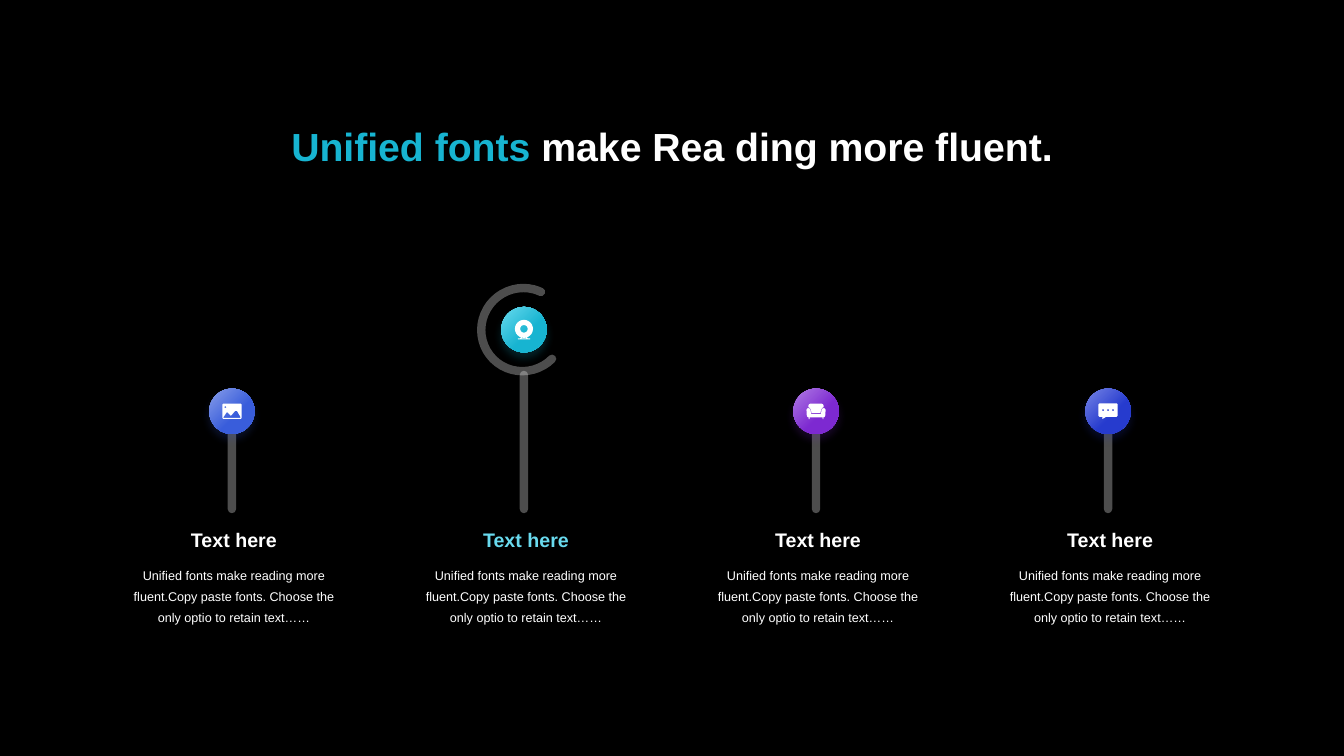
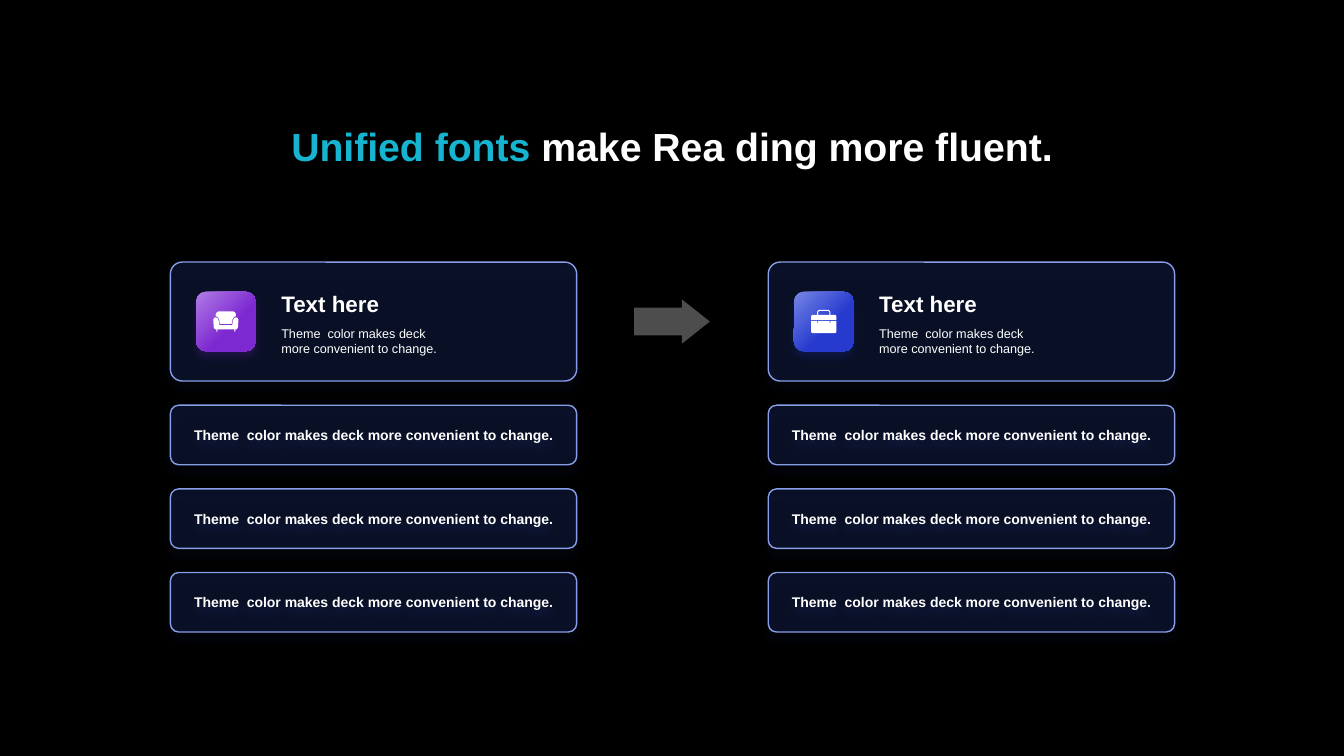
"""Build two dark slides: a row of pins and a pair of card stacks."""
from dataclasses import dataclass
from math import cos, radians, sin

from lxml import etree
from pptx import Presentation
from pptx.dml.color import RGBColor
from pptx.dml.fill import FillFormat
from pptx.enum.shapes import MSO_CONNECTOR, MSO_SHAPE
from pptx.enum.text import MSO_ANCHOR, MSO_AUTO_SIZE, PP_ALIGN
from pptx.oxml.ns import qn
from pptx.shapes.autoshape import Shape
from pptx.slide import Slide
from pptx.text.text import TextFrame
from pptx.util import Inches, Pt

OVAL, ROUND = MSO_SHAPE.OVAL, MSO_SHAPE.ROUNDED_RECTANGLE
ARC, ARROW = MSO_SHAPE.ARC, MSO_SHAPE.RIGHT_ARROW
LINE = MSO_CONNECTOR.STRAIGHT
LEFT, CENTER = PP_ALIGN.LEFT, PP_ALIGN.CENTER
TOP, MIDDLE = MSO_ANCHOR.TOP, MSO_ANCHOR.MIDDLE
FIXED = MSO_AUTO_SIZE.NONE

FONT = "Arial"
BLACK, WHITE = "000000", "FFFFFF"
BLUE, CYAN = ("889EE9", "395DDB"), ("69DAEE", "17B4D1")
PURPLE, NAVY = ("B17DE5", "7D29D1"), ("7886E6", "263BCE")
HEAD = "Text here"
BODY = ("Unified fonts make reading more fluent.Copy paste fonts. "
        "Choose the only optio to retain text……")
NOTE = ("Theme  color makes deck", "more convenient to change.")
LABEL = "Theme  color makes deck more convenient to change."

FIRST, LAST, FOOT = 2.3, 10.99, 5.05
DOT, TILE = 0.45, 0.59
CARD_W, CARD_H, ROW_H, GAP = 4.03, 1.18, 0.59, 0.24
CARD_TOP, ROWS = 2.6, 3

Path = list[tuple[int, int]]


def pill(x: float, y: float, w: float, h: float, r: float) -> Path:
    """Return the outline of a rounded rectangle."""
    hubs = ((x + w - r, y + h - r), (x + r, y + h - r), (x + r, y + r), (x + w - r, y + r))
    return [(round(a + r * cos(radians(90 * i + t))), round(b + r * sin(radians(90 * i + t))))
            for i, (a, b) in enumerate(hubs) for t in range(0, 91, 15)]


def disc(x: float, y: float, r: float) -> Path:
    """Return the outline of a circle."""
    return pill(x - r, y - r, 2 * r, 2 * r, r)


PHOTO = [
    pill(0, 0, 100, 79, 6),
    [(72, 37), (67, 37), (48, 60), (43, 62), (28, 46), (22, 46), (6, 70), (6, 74),
     (94, 74), (94, 68), (76, 37)],
    disc(16, 18, 5),
]
CAM = [
    disc(50, 50, 50),
    disc(50, 50, 21),
    [(16, 108), (16, 103), (28, 103), (33, 98), (39, 99), (36, 103), (64, 103),
     (61, 99), (67, 98), (72, 103), (84, 103), (84, 108)],
]
SOFA = [
    [(90, 24), (96, 26), (100, 33), (98, 64), (94, 71), (88, 72), (88, 81), (84, 81),
     (84, 72), (16, 72), (16, 81), (12, 81), (12, 72), (6, 71), (2, 64), (0, 33),
     (4, 26), (10, 24), (17, 27), (21, 35), (25, 55), (75, 55), (79, 35), (83, 27)],
    [(10, 12), (14, 4), (22, 0), (78, 0), (86, 4), (90, 12), (90, 19), (82, 23),
     (77, 31), (73, 50), (27, 50), (23, 31), (18, 23), (10, 19)],
]
CHAT = [
    [(5, 0), (95, 0), (100, 5), (100, 65), (95, 70), (40, 70), (20, 82), (20, 70),
     (5, 70), (0, 65), (0, 5)],
    *(disc(x, 35, 5) for x in (24, 50, 76)),
]
CASE = [
    [(0, 44), (24, 44), (24, 52), (27, 52), (27, 44), (73, 44), (73, 52), (76, 52),
     (76, 44), (100, 44), (100, 88), (96, 92), (4, 92), (0, 88)],
    [(0, 40), (0, 25), (4, 20), (24, 20), (24, 7), (30, 0), (70, 0), (76, 7),
     (76, 20), (96, 20), (100, 25), (100, 40)],
    [(28, 20), (28, 8), (32, 4), (68, 4), (72, 8), (72, 20)],
]


@dataclass(frozen=True)
class Pin:
    """A badge on a stem with its text."""
    icon: list[Path]
    wide: float
    tint: tuple[str, str]
    mid: float = 4.08
    stem: float = 4.3
    head: str = WHITE


@dataclass(frozen=True)
class Stack:
    """A card with rows below it."""
    left: float
    icon: list[Path]
    tint: tuple[str, str]


PINS = (Pin(PHOTO, 0.19, BLUE), Pin(CAM, 0.18, CYAN, 3.27, 3.72, CYAN[0]),
        Pin(SOFA, 0.19, PURPLE), Pin(CHAT, 0.19, NAVY))
STACKS = (Stack(1.69, SOFA, PURPLE), Stack(7.62, CASE, NAVY))


def color(code: str) -> RGBColor:
    """Turn a hex string into a colour."""
    return RGBColor.from_string(code)


def paint(fill: FillFormat, code: str) -> None:
    """Fill with one colour."""
    fill.solid()
    fill.fore_color.rgb = color(code)


def blend(fill: FillFormat, tint: tuple[str, str]) -> None:
    """Fill with a slanted blend of two colours."""
    fill.gradient()
    fill.gradient_angle = 315
    for stop, code, spot in zip(fill.gradient_stops, tint, (0, 0.6)):
        stop.color.rgb = color(code)
        stop.position = spot


def fade(part: etree.ElementBase, share: int) -> None:
    """Make the colours inside an element see-through."""
    for item in part.iter(qn("a:srgbClr")):
        etree.SubElement(item, qn("a:alpha"), val=str(share * 1000))


def glow(shape: Shape, code: str) -> None:
    """Put a soft tinted shadow under a shape."""
    part = shape.element.spPr.find(qn("a:effectLst"))
    cast = etree.SubElement(part, qn("a:outerShdw"), blurRad=str(Pt(6)), dist=str(Pt(4)),
                            dir="5400000", algn="t", rotWithShape="0")
    etree.SubElement(cast, qn("a:srgbClr"), val=code)
    fade(cast, 20)


def form(slide: Slide, kind: MSO_SHAPE, x: float, y: float, w: float, h: float) -> Shape:
    """Add a plain shape with no line."""
    shape = slide.shapes.add_shape(kind, Inches(x), Inches(y), Inches(w), Inches(h))
    shape.shadow.inherit = False
    shape.line.fill.background()
    return shape


def write(frame: TextFrame, lines: tuple[str, ...], size: float, code: str = WHITE,
          bold: bool = False, align: PP_ALIGN = CENTER) -> None:
    """Write one paragraph for each line."""
    for i, text in enumerate(lines):
        para = frame.add_paragraph() if i else frame.paragraphs[0]
        para.alignment = align
        add(para.add_run(), text, size, code, bold)


def add(run, text: str, size: float, code: str, bold: bool) -> None:
    """Fill and style a run."""
    run.text = text
    run.font.name, run.font.size, run.font.bold = FONT, Pt(size), bold
    run.font.color.rgb = color(code)


def box(slide: Slide, x: float, y: float, w: float, h: float, inset: float = 0.1) -> TextFrame:
    """Add a text box and return its frame."""
    frame = slide.shapes.add_textbox(Inches(x), Inches(y), Inches(w), Inches(h)).text_frame
    frame.word_wrap = True
    frame.margin_left = Inches(inset)
    return frame


def title(slide: Slide) -> None:
    """Place and write the slide title."""
    head = slide.shapes.title
    head.left, head.top, head.width, head.height = map(Inches, (2.22, 1.16, 8.89, 0.57))
    frame = head.text_frame
    frame.auto_size, frame.vertical_anchor = FIXED, TOP
    para = frame.paragraphs[0]
    para.alignment = CENTER
    for text, code in (("Unified fonts ", CYAN[1]), ("make Rea ding more fluent.", WHITE)):
        add(para.add_run(), text, 28, code, True)


def badge(slide: Slide, kind: MSO_SHAPE, x: float, y: float, size: float,
          tint: tuple[str, str], icon: list[Path], wide: float) -> None:
    """Draw a badge around its centre with an icon inside."""
    plate = form(slide, kind, x - size / 2, y - size / 2, size, size)
    blend(plate.fill, tint)
    glow(plate, tint[1])
    tall = wide * max(b for ring in icon for a, b in ring) / 100
    pen = slide.shapes.build_freeform(*icon[0][0], scale=Inches(wide) / 100)
    for i, ring in enumerate(icon):
        if i:
            pen.move_to(*ring[0])
        pen.add_line_segments(ring[1:], close=True)
    mark = pen.convert_to_shape(Inches(x - wide / 2), Inches(y - tall / 2))
    mark.shadow.inherit = False
    mark.line.fill.background()
    paint(mark.fill, WHITE)


def stroke(shape) -> None:
    """Give a shape a thick, pale, round-ended line."""
    shape.line.width = Pt(6)
    paint(shape.line.fill, WHITE)
    edge = shape.element.spPr.find(qn("a:ln"))
    edge.set("cap", "rnd")
    fade(edge, 30)


def draw_pin(slide: Slide, pin: Pin, x: float) -> None:
    """Draw a stem, its badge and its text."""
    stem = slide.shapes.add_connector(LINE, Inches(x), Inches(FOOT), Inches(x), Inches(pin.stem))
    stroke(stem)
    etree.SubElement(stem.element.spPr, qn("a:effectLst"))
    badge(slide, OVAL, x, pin.mid, DOT, pin.tint, pin.icon, pin.wide)
    axis = x + 0.02
    write(box(slide, axis - 0.59, 5.19, 1.18, 0.34), (HEAD,), 14, pin.head, True)
    frame = box(slide, axis - 1.15, 5.53, 2.3, 0.71)
    write(frame, (BODY,), 9)
    frame.paragraphs[0].line_spacing = Pt(15)


def panel(slide: Slide, x: float, y: float, h: float, bend: float) -> Shape:
    """Draw a dim outlined card."""
    card = form(slide, ROUND, x, y, CARD_W, h)
    card.adjustments[0] = bend
    paint(card.fill, BLUE[1])
    fade(card.element.spPr, 15)
    paint(card.line.fill, BLUE[0])
    card.line.width = Pt(1)
    glow(card, BLUE[1])
    return card


def draw_stack(slide: Slide, stack: Stack) -> None:
    """Draw a card and the rows below it."""
    x = stack.left
    panel(slide, x, CARD_TOP, CARD_H, 0.1)
    write(box(slide, x + 1.1, 2.83, 2.11, 0.37, 0), (HEAD,), 16, bold=True, align=LEFT)
    write(box(slide, x + 1.1, 3.18, 2.11, 0.37, 0), NOTE, 9, align=LEFT)
    badge(slide, ROUND, x + 0.55, CARD_TOP + CARD_H / 2, TILE, stack.tint, stack.icon, 0.25)
    for i in range(ROWS):
        y = CARD_TOP + CARD_H + GAP + i * (ROW_H + GAP)
        frame = panel(slide, x, y, ROW_H, 0.14).text_frame
        frame.word_wrap, frame.vertical_anchor = True, MIDDLE
        write(frame, (LABEL,), 10, bold=True)


def draw_pins(slide: Slide) -> None:
    """Draw the evenly spaced pins and the ring."""
    step = (LAST - FIRST) / (len(PINS) - 1)
    for i, pin in enumerate(PINS):
        draw_pin(slide, pin, FIRST + i * step)
    ring = form(slide, ARC, 4.77, 2.86, 0.83, 0.82)
    ring.rotation = 135
    ring.adjustments[0], ring.adjustments[1] = 162, 96.47
    ring.fill.background()
    stroke(ring)


def draw_stacks(slide: Slide) -> None:
    """Draw the arrow between the two stacks."""
    arrow = form(slide, ARROW, 6.29, 2.97, 0.75, 0.44)
    arrow.adjustments[0], arrow.adjustments[1] = 0.63, 0.63
    paint(arrow.fill, WHITE)
    fade(arrow.element.spPr, 30)
    for stack in STACKS:
        draw_stack(slide, stack)


def main() -> None:
    """Build and save the slides."""
    deck = Presentation()
    deck.slide_width, deck.slide_height = Inches(13.33), Inches(7.5)
    paint(deck.slide_master.background.fill, BLACK)
    for draw in (draw_pins, draw_stacks):
        slide = deck.slides.add_slide(deck.slide_layouts[5])
        title(slide)
        draw(slide)
    deck.save("out.pptx")


if __name__ == "__main__":
    main()
